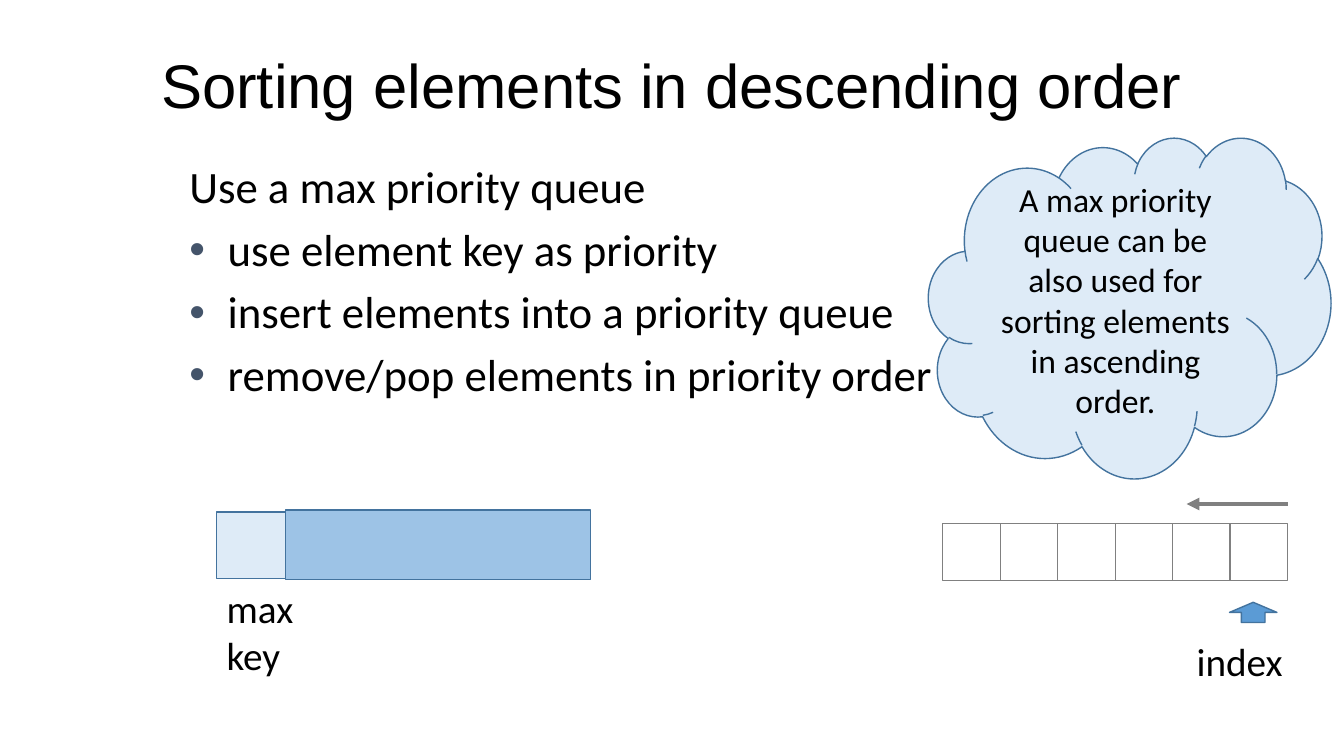
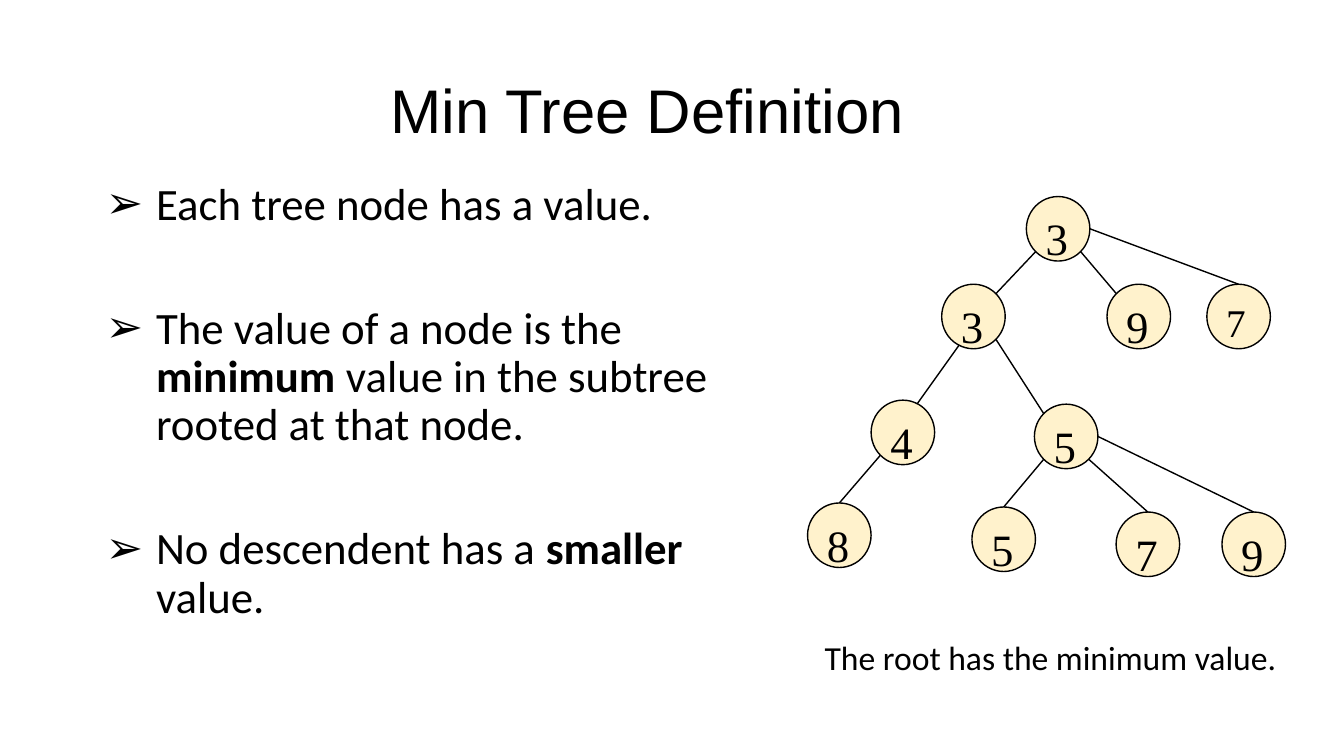
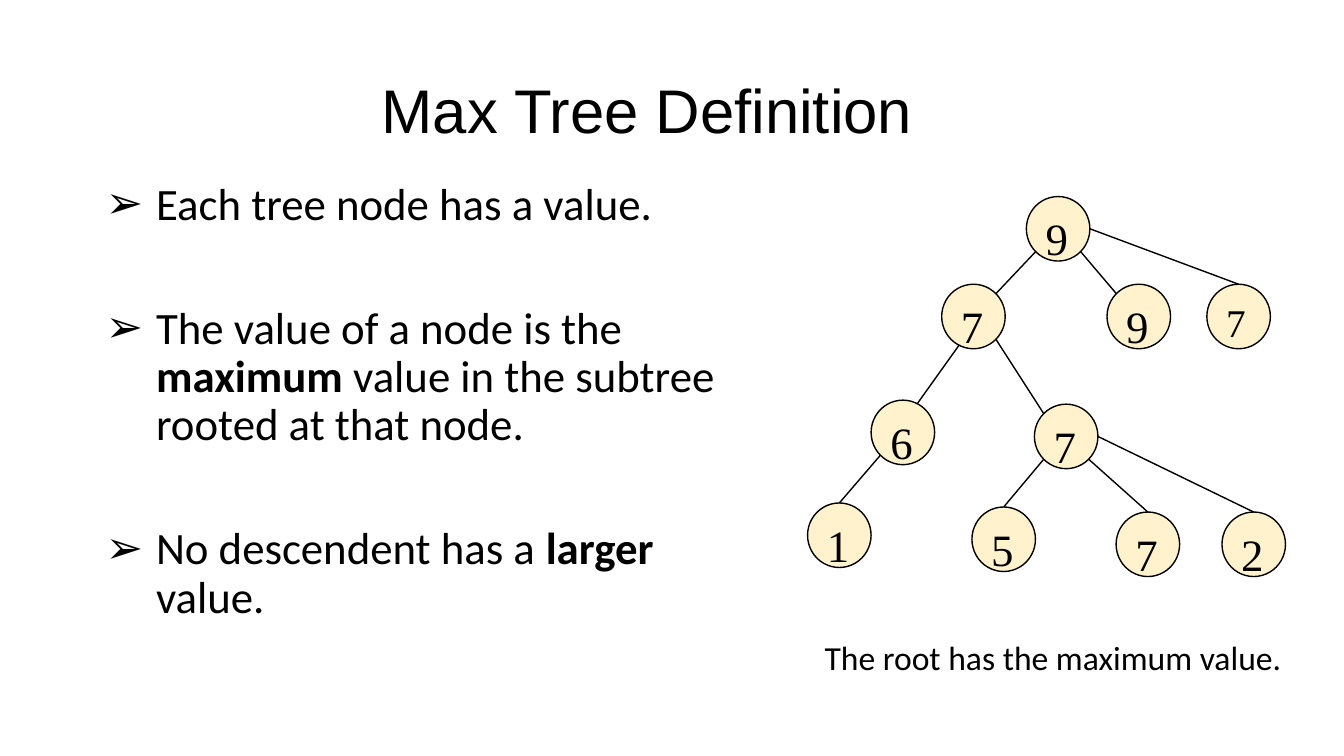
from math import cos, radians, sin

from lxml import etree
from pptx import Presentation
from pptx.dml.color import RGBColor
from pptx.enum.shapes import MSO_CONNECTOR, MSO_SHAPE
from pptx.enum.text import MSO_ANCHOR, PP_ALIGN
from pptx.oxml.ns import qn
from pptx.util import Inches, Pt

LEFT, CENTER = PP_ALIGN.LEFT, PP_ALIGN.CENTER
TOP, MIDDLE = MSO_ANCHOR.TOP, MSO_ANCHOR.MIDDLE
RECT, CLOUD = MSO_SHAPE.RECTANGLE, MSO_SHAPE.CLOUD
ELLIPSE, ARROW = MSO_SHAPE.OVAL, MSO_SHAPE.RIGHT_ARROW
STRAIGHT = MSO_CONNECTOR.STRAIGHT
TITLE_ONLY = 5

COLORS = {
    "text": "000000", "bullet": "44546A", "outline": "43739E",
    "pale": "DEEBF7", "queue": "9DC3E6", "arrow": "5B9BD5",
    "grey": "808080", "node": "FFF2CC",
}
BODY, HEADING, DIGITS = "Calibri", "Arial", "Times New Roman"

NODE_W, NODE_H = 0.63, 0.64
# Top-left corner of every tree node, level by level
NODES = {
    "root": (10.18, 1.95),
    "left": (9.34, 2.82), "middle": (10.98, 2.82), "right": (11.97, 2.82),
    "left_a": (8.64, 3.97), "left_b": (10.26, 4.01),
    "leaf_a": (8.01, 4.99), "leaf_b": (9.64, 5.03),
    "leaf_c": (11.07, 5.08), "leaf_d": (12.12, 5.08),
}
# Parent, angle where the edge leaves it, child, angle where it arrives;
# degrees run clockwise from the right-hand side
EDGES = [
    ("root", 135, "left", 315), ("root", 45, "middle", 225),
    ("root", 0, "right", 270), ("left", 117, "left_a", 297),
    ("left", 45, "left_b", 225), ("left_a", 135, "leaf_a", 270),
    ("left_b", 135, "leaf_b", 270), ("left_b", 45, "leaf_c", 270),
    ("left_b", 0, "leaf_d", 270),
]


def rgb(name):
    """Return the named colour."""
    return RGBColor.from_string(COLORS[name])


def write(shape, paragraphs, size=32, font=BODY, align=LEFT, anchor=TOP,
          wrap=True, line=None, before=0, after=0):
    """Fill a shape with paragraphs; each is a list of runs, every second bold."""
    tf = shape.text_frame
    tf.word_wrap = wrap
    tf.vertical_anchor = anchor
    for i, runs in enumerate(paragraphs):
        p = tf.paragraphs[0] if i == 0 else tf.add_paragraph()
        p.alignment = align
        p.line_spacing = line
        p.space_before, p.space_after = Pt(before), Pt(after)
        for j, text in enumerate(runs):
            r = p.add_run()
            r.text = text
            r.font.size, r.font.name = Pt(size), font
            r.font.bold = j % 2 == 1
            r.font.color.rgb = rgb("text")


def hang(p, indent, char=None, color="text"):
    """Give a paragraph a hanging indent and, if asked, a bullet."""
    pPr = p._p.get_or_add_pPr()
    pPr.set("marL", str(Inches(indent)))
    pPr.set("indent", str(-Inches(indent)))
    if char:
        clr = etree.SubElement(pPr, qn("a:buClr"))
        etree.SubElement(clr, qn("a:srgbClr"), val=COLORS[color])
        etree.SubElement(pPr, qn("a:buFont"), typeface=HEADING)
        etree.SubElement(pPr, qn("a:buChar"), char=char)


def add_slide(prs, title, x, y, w):
    """Add a title-only slide with its title placed and formatted."""
    s = prs.slides.add_slide(prs.slide_layouts[TITLE_ONLY])
    sp = s.shapes.title
    sp.left, sp.top, sp.width, sp.height = map(Inches, (x, y, w, 1.25))
    write(sp, [[title]], size=44, font=HEADING, align=CENTER, anchor=MIDDLE,
          line=0.9)
    return s


def add_text(s, x, y, w, h, paragraphs, **fmt):
    """Add a text box."""
    sp = s.shapes.add_textbox(*map(Inches, (x, y, w, h)))
    write(sp, paragraphs, **fmt)
    return sp


def add_shape(s, kind, x, y, w, h, fill=None, line="outline", weight=1):
    """Add a flat preset shape."""
    sp = s.shapes.add_shape(kind, *map(Inches, (x, y, w, h)))
    sp.shadow.inherit = False
    if fill:
        sp.fill.solid()
        sp.fill.fore_color.rgb = rgb(fill)
    else:
        sp.fill.background()
    sp.line.color.rgb = rgb(line)
    sp.line.width = Pt(weight)
    return sp


def add_line(s, start, end, color="text", weight=1, arrow=False):
    """Add a straight line, with an arrowhead at its end if asked."""
    c = s.shapes.add_connector(STRAIGHT, *map(Inches, (*start, *end)))
    c.line.color.rgb = rgb(color)
    c.line.width = Pt(weight)
    if arrow:
        etree.SubElement(c.line._get_or_add_ln(), qn("a:tailEnd"),
                         type="triangle")
    etree.SubElement(c._element.spPr, qn("a:effectLst"))


def rim(name, angle):
    """Return the point on a node's outline at an angle."""
    x, y = NODES[name]
    a = radians(angle)
    return (x + NODE_W / 2 * (1 + cos(a)), y + NODE_H / 2 * (1 + sin(a)))


def add_tree(s, values):
    """Draw the tree with one value per node."""
    for (name, (x, y)), value in zip(NODES.items(), values):
        sp = add_shape(s, ELLIPSE, x, y, NODE_W, NODE_H, "node", "text")
        write(sp, [[value]], size=28 if name == "right" else 32, font=DIGITS)
    for parent, leave, child, arrive in EDGES:
        add_line(s, rim(parent, leave), rim(child, arrive))


def sorting_slide(prs):
    """Build the slide on sorting with a max priority queue."""
    s = add_slide(prs, "Sorting elements in descending order", 0, 0.25, 13.33)
    steps = add_text(s, 1.78, 1.59, 9.5, 4.58, [
        ["Use a max priority queue"],
        ["use element key as priority"],
        ["insert elements into a priority queue"],
        ["remove/pop elements in priority order"],
    ], line=0.9, before=10)
    for i, p in enumerate(steps.text_frame.paragraphs):
        hang(p, 0.38, "•" if i else None, "bullet")

    add_shape(s, RECT, 2.83, 5.06, 3.03, 0.69, "queue")
    add_shape(s, RECT, 2.15, 5.08, 0.68, 0.66, "pale")
    add_text(s, 2.15, 5.75, 0.96, 1.04, [["max "], ["key"]], size=28,
             wrap=False)

    cloud = add_shape(s, CLOUD, 9.21, 1.36, 3.99, 3.38, "pale")
    write(cloud, [["A max priority queue can be also used for sorting "
                   "elements in ascending order."]],
          size=24, align=CENTER, anchor=MIDDLE)

    cell = 0.57
    for i in range(5):
        add_shape(s, RECT, 9.35 + i * cell, 5.19, 2 * cell, cell,
                  line="grey", weight=0.75)
    pointer = add_shape(s, ARROW, 12.33, 5.84, 0.2, 0.47, "arrow")
    pointer.rotation = 270
    add_text(s, 11.77, 6.27, 1.06, 0.57, [["index"]], size=28, wrap=False)
    add_line(s, (12.77, 5), (11.77, 5), "grey", 3, arrow=True)


def tree_slide(prs, kind, extreme, beyond, values, caption_w):
    """Build the definition slide of a min or max tree."""
    s = add_slide(prs, f"{kind} Tree Definition", 2.17, 0.5, 8.5)
    rules = add_text(s, 0.95, 1.75, 6.56, 4.83, [
        ["Each tree node has a value."],
        ["The value of a node is the ", extreme,
         " value in the subtree rooted at that node."],
        ["No descendent has a ", beyond, " value."],
    ], line=0.9, before=10, after=44)
    for p in rules.text_frame.paragraphs:
        hang(p, 0.5, "➢")
    add_tree(s, values)
    add_text(s, 8.08, 6.27, caption_w, 0.5,
             [[f"The root has the {extreme} value."]], size=24, wrap=False)


def main():
    """Build and save the presentation."""
    prs = Presentation()
    prs.slide_width, prs.slide_height = Inches(13.33), Inches(7.5)
    sorting_slide(prs)
    tree_slide(prs, "Min", "minimum", "smaller", "3397458579", 4.72)
    tree_slide(prs, "Max", "maximum", "larger", "9797671572", 4.77)
    prs.save("out.pptx")


main()
